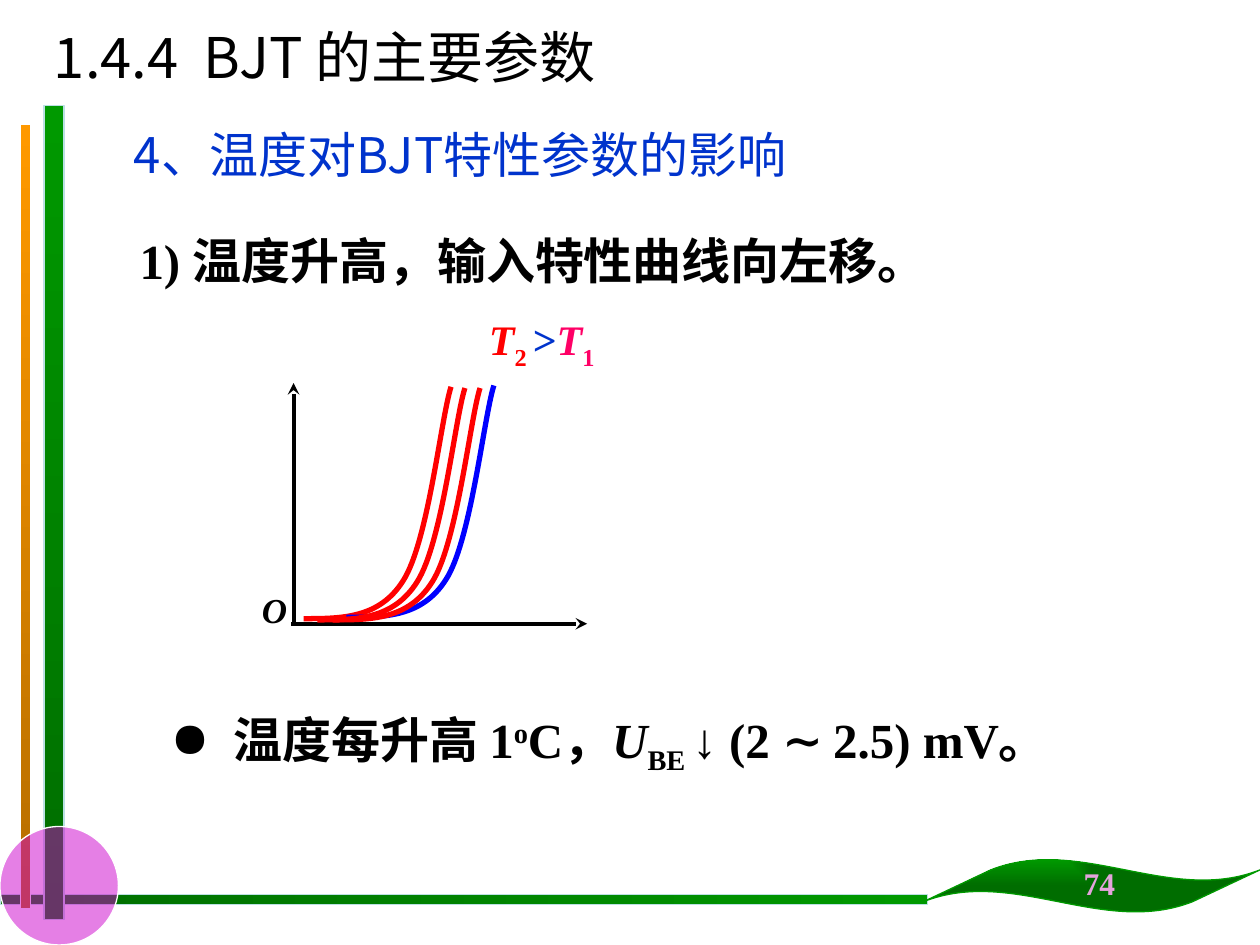
from lxml import etree
from pptx import Presentation
from pptx.dml.color import RGBColor
from pptx.enum import shapes, text
from pptx.oxml.ns import qn
from pptx.util import Inches, Pt

SERIF, SANS = "Times New Roman", "Noto Sans CJK SC"
CURVE = [(0, 1.84), (0.3, 1.84), (0.6, 1.84), (0.79, 1.54),
         (0.99, 1.23), (1.09, 0.25), (1.17, 0)]


def rgb(color):
    """Turn a hex string into a colour."""
    return RGBColor.from_string(color)


def add_xml(parent, tag, **attrs):
    """Append a drawing element with attributes."""
    return etree.SubElement(parent, qn(tag), attrs)


def set_line(sp, color, width):
    """Set the colour and the width of a line."""
    sp.line.color.rgb = rgb(color)
    sp.line.width = Pt(width)


def add_shape(s, kind, box, line, width=0.75):
    """Add a preset shape without a shadow."""
    sp = s.shapes.add_shape(kind, *map(Inches, box))
    sp.shadow.inherit = False
    set_line(sp, line, width)
    return sp


def set_gradient(sp, start, end, angle=0):
    """Fill a shape with a two-colour linear gradient."""
    sp.fill.gradient()
    sp.fill.gradient_angle = angle
    for stop, color, position in zip(sp.fill.gradient_stops, (start, end), (0, 1)):
        stop.color.rgb = rgb(color)
        stop.position = position


def set_corner_gradient(sp, start, end):
    """Fill a shape with a gradient that spreads from its top left corner."""
    set_gradient(sp, start, end)
    lin = sp._element.spPr.find(".//" + qn("a:lin"))
    grad = lin.getparent()
    grad.remove(lin)
    add_xml(add_xml(grad, "a:path", path="rect"), "a:fillToRect", r="100000", b="100000")


def add_axis(s, start, end):
    """Add a black axis with an arrowhead at its end."""
    points = map(Inches, (*start, *end))
    sp = s.shapes.add_connector(shapes.MSO_CONNECTOR.STRAIGHT, *points)
    set_line(sp, "000000", 2.25)
    add_xml(sp.line._get_or_add_ln(), "a:tailEnd", type="stealth")
    add_xml(sp._element.spPr, "a:effectLst")


def add_curve(s, left, top, color):
    """Add one input characteristic as two Bezier segments."""
    points = [(Inches(left + x), Inches(top + y)) for x, y in CURVE]
    builder = s.shapes.build_freeform(*points[0])
    builder.add_line_segments(points[1:], close=False)
    sp = builder.convert_to_shape()
    sp.shadow.inherit = False
    sp.fill.background()
    set_line(sp, color, 3)
    path = sp._element.spPr.find(".//" + qn("a:path"))
    steps = path.findall(qn("a:lnTo"))
    for i in range(0, len(steps), 3):
        bezier = add_xml(path, "a:cubicBezTo")
        for step in steps[i:i + 3]:
            bezier.append(step[0])
            path.remove(step)


def add_bullet(p, char, indent):
    """Give a paragraph a hanging bullet."""
    pPr = p._p.get_or_add_pPr()
    pPr.set("marL", str(Inches(indent)))
    pPr.set("indent", str(-Inches(indent)))
    add_xml(pPr, "a:buChar", char=char)


def add_run(p, content, size, font, color, bold=False, italic=False, base=0):
    """Add a formatted run; base raises or lowers it in percent."""
    r = p.add_run()
    r.text = content
    r.font.size, r.font.name = Pt(size), font
    r.font.bold, r.font.italic = bold, italic
    r.font.color.rgb = rgb(color)
    rPr = r._r.get_or_add_rPr()
    add_xml(rPr, "a:ea", typeface=SANS)
    if base:
        rPr.set("baseline", str(base * 1000))


def add_text(s, box, runs, size, font=SERIF, color="000000", bold=True,
             align=text.PP_ALIGN.CENTER, wrap=True, bullet=None):
    """Add a one-paragraph text box from (text, format) runs."""
    tf = s.shapes.add_textbox(*map(Inches, box)).text_frame
    tf.word_wrap = wrap
    p = tf.paragraphs[0]
    p.alignment = align
    if bullet:
        add_bullet(p, bullet, 0.5)
    for content, changes in runs:
        add_run(p, content, **{"size": size, "font": font, "color": color,
                               "bold": bold, **changes})


def add_frame(s):
    """Add the bars, the circle and the wave around the content."""
    rect = shapes.MSO_SHAPE.RECTANGLE
    sp = add_shape(s, rect, (0, 7.1, 7.36, 0.08), "BBE0E3")
    set_gradient(sp, "006D00", "009900")
    sp = add_shape(s, rect, (0.35, 0.84, 0.16, 6.46), "BBE0E3")
    set_gradient(sp, "009900", "006D00", 270)
    sp = add_shape(s, rect, (0.16, 0.99, 0.08, 6.22), "FFFFFF", 0.5)
    set_gradient(sp, "FF9900", "B66D00", 270)
    sp = add_shape(s, shapes.MSO_SHAPE.OVAL, (0, 6.56, 0.94, 0.94), "FFFFFF")
    sp.fill.solid()
    sp.fill.fore_color.rgb = rgb("CC00CC")
    add_xml(sp._element.spPr.find(".//" + qn("a:srgbClr")), "a:alpha", val="50000")
    sp = add_shape(s, shapes.MSO_SHAPE.WAVE, (7.33, 6.82, 2.67, 0.42), "009900")
    sp.adjustments[0], sp.adjustments[1] = 0.206, -0.1
    set_corner_gradient(sp, "009900", "006D00")


def add_graph(s):
    """Add the axes, the origin, the curves and their label."""
    add_axis(s, (2.31, 4.95), (4.66, 4.95))
    add_axis(s, (2.33, 4.94), (2.33, 3.04))
    add_text(s, (1.98, 4.62, 0.4, 0.43), [("O", {"italic": True})], 20, wrap=False)
    for left, top, color in ((2.41, 3.07, "FF0000"), (2.75, 3.06, "0000FF"),
                             (2.64, 3.08, "FF0000"), (2.52, 3.08, "FF0000")):
        add_curve(s, left, top, color)
    add_text(s, (2.93, 2.44, 2.74, 0.64), [
        ("T", {"italic": True}), ("2 ", {"base": -25}), (">", {"color": "0033CC"}),
        ("T", {"color": "FF0066", "italic": True}),
        ("1", {"color": "FF0066", "base": -25})], 24, color="FF0000")


def main():
    """Build the slide and save it."""
    prs = Presentation()
    prs.slide_width, prs.slide_height = Inches(10), Inches(7.5)
    s = prs.slides.add_slide(prs.slide_layouts[6])
    add_frame(s)
    add_text(s, (0.33, 0.13, 5.17, 0.64), [("1.4.4  BJT 的主要参数", {})], 32,
             font=SANS, bold=False, align=text.PP_ALIGN.LEFT)
    add_text(s, (0.79, 0.94, 5.72, 0.57), [("4、温度对BJT特性参数的影响", {})], 28,
             font=SANS, color="0033CC", bold=False)
    add_text(s, (0.82, 1.78, 6.82, 0.57), [("1) 温度升高，输入特性曲线向左移。", {})], 28)
    add_graph(s)
    add_text(s, (1.01, 5.58, 7.65, 0.57), [
        ("温度每升高 1", {}), ("o", {"base": 30}), ("C，", {}), ("U", {"italic": True}),
        ("BE ", {"base": -25}), ("↓ (2 ∼ 2.5) mV。", {})], 28, bullet="●")
    add_text(s, (8.5, 6.81, 0.45, 0.4), [("74", {})], 18, color="E4A4DC", wrap=False)
    prs.save("out.pptx")


if __name__ == "__main__":
    main()
